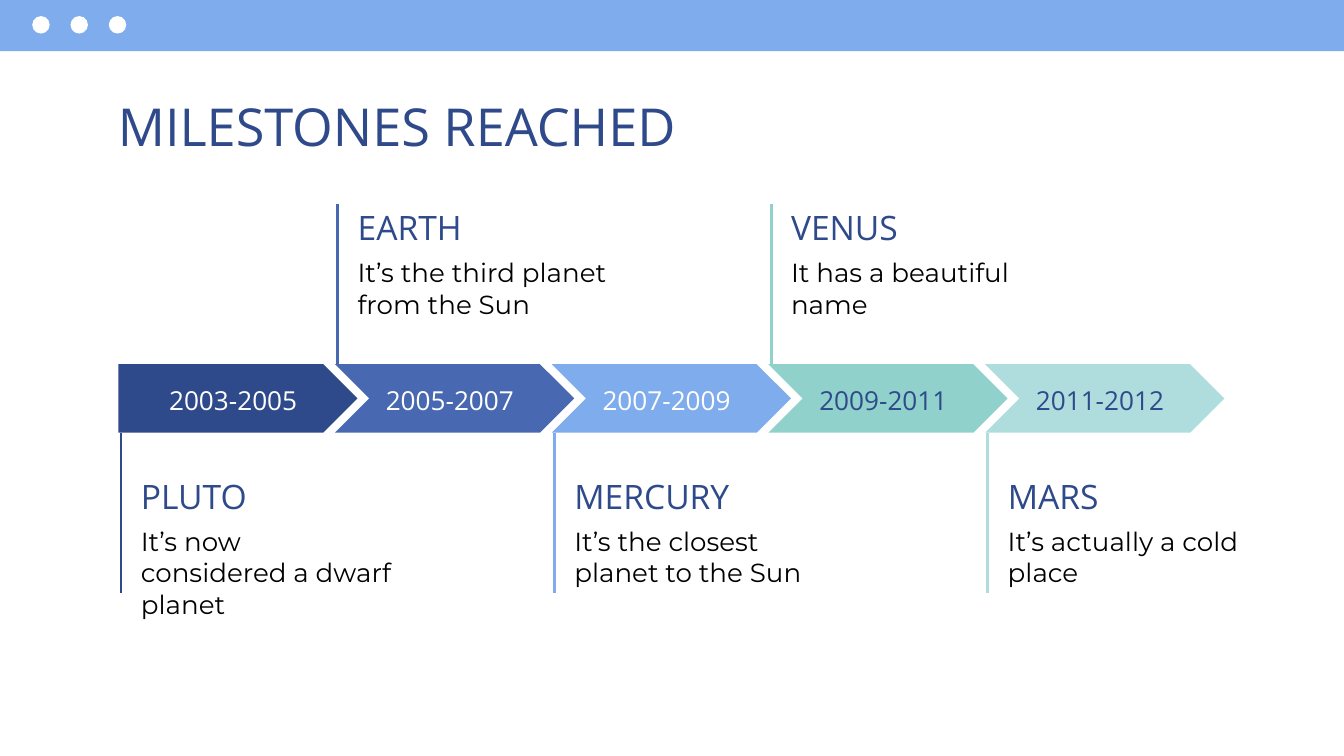
from typing import NamedTuple

from lxml.etree import SubElement
from pptx import Presentation
from pptx.dml.color import RGBColor
from pptx.enum.shapes import MSO_CONNECTOR, MSO_SHAPE as Preset
from pptx.enum.text import MSO_ANCHOR
from pptx.oxml.ns import qn
from pptx.util import Inches, Pt

WHITE, NAVY, BLUE = "FFFFFF", "2F4A8A", "7EACEC"
FIRST_LEFT, STEP = 0.88, 6.45 / 4
BAND_TOP, BAND_HEIGHT, STEM_LENGTH = 2.71, 0.51, 1.19


class Milestone(NamedTuple):
    years: str
    planet: str
    detail: str
    fill: str
    year_color: str


MILESTONES = [
    Milestone("2003-2005", "PLUTO", "It’s now considered a dwarf planet", NAVY, WHITE),
    Milestone("2005-2007", "EARTH", "It’s the third planet from the Sun", "4869B1", WHITE),
    Milestone("2007-2009", "MERCURY", "It’s the closest planet to the Sun", BLUE, WHITE),
    Milestone("2009-2011", "VENUS", "It has a beautiful name", "90D1CB", NAVY),
    Milestone("2011-2012", "MARS", "It’s actually a cold place", "AFDCDD", NAVY),
]


def paint(target, color: str) -> None:
    """Give a fill or line format a solid colour."""
    target.solid()
    target.fore_color.rgb = RGBColor.from_string(color)


def add_block(page, preset: Preset, left: float, top: float,
              width: float, height: float, color: str) -> None:
    """Draw a filled preset shape without outline or shadow."""
    block = page.shapes.add_shape(preset, Inches(left), Inches(top), Inches(width), Inches(height))
    block.shadow.inherit = False
    paint(block.fill, color)
    block.line.fill.background()


def add_text(page, text: str, left: float, top: float, width: float, height: float, *,
             size: float, color: str = NAVY, font: str = "Open Sans") -> None:
    """Place wrapped text in its own box."""
    box = page.shapes.add_textbox(Inches(left), Inches(top), Inches(width), Inches(height))
    frame = box.text_frame
    frame.word_wrap = True
    frame.vertical_anchor = MSO_ANCHOR.TOP
    frame.margin_left = frame.margin_right = Inches(0.1)
    frame.margin_top = frame.margin_bottom = Inches(0.1)
    span = frame.paragraphs[0].add_run()
    span.text = text
    span.font.size = Pt(size)
    span.font.name = font
    span.font.color.rgb = RGBColor.from_string(color)


def add_stem(page, x: float, top: float, color: str) -> None:
    """Draw a vertical line that ties a milestone to its text."""
    stem = page.shapes.add_connector(MSO_CONNECTOR.STRAIGHT, Inches(x), Inches(top),
                                     Inches(x), Inches(top + STEM_LENGTH))
    paint(stem.line.fill, color)
    stem.line.width = Pt(1.5)
    SubElement(stem._element.spPr, qn("a:effectLst"))


def add_milestone(page, index: int, milestone: Milestone) -> None:
    """Draw one arrow of the timeline with its stem and texts."""
    left = FIRST_LEFT + index * STEP
    above = index % 2 == 1
    preset = Preset.CHEVRON if index else Preset.PENTAGON
    stem_top = BAND_TOP - STEM_LENGTH if above else BAND_TOP + BAND_HEIGHT
    text_top = 1.44 if above else 3.44
    add_block(page, preset, left, BAND_TOP, 1.78, BAND_HEIGHT, milestone.fill)
    add_stem(page, left + 0.02, stem_top, milestone.fill)
    add_text(page, milestone.years, left + 0.28, 2.76, 1.5, 0.28,
             size=14, color=milestone.year_color)
    add_text(page, milestone.planet, left + 0.07, text_top, 1.71, 0.39, size=18)
    add_text(page, milestone.detail, left + 0.07, text_top + 0.37, 2.07, 0.59,
             size=14, color="000000", font="Montserrat")


def main() -> None:
    """Build the milestones slide and save it."""
    deck = Presentation()
    deck.slide_width, deck.slide_height = Inches(10), Inches(10 * 9 / 16)
    page = deck.slides.add_slide(deck.slide_layouts[6])
    paint(page.background.fill, WHITE)
    add_block(page, Preset.RECTANGLE, 0, 0, 10, 0.38, BLUE)
    for index in range(3):
        add_block(page, Preset.OVAL, 0.24 + index * 0.57 / 2, 0.12, 0.13, 0.13, WHITE)
    add_text(page, "MILESTONES REACHED", 0.78, 0.6, 8.44, 0.51, size=28)
    for index, milestone in enumerate(MILESTONES):
        add_milestone(page, index, milestone)
    deck.save("out.pptx")


main()
